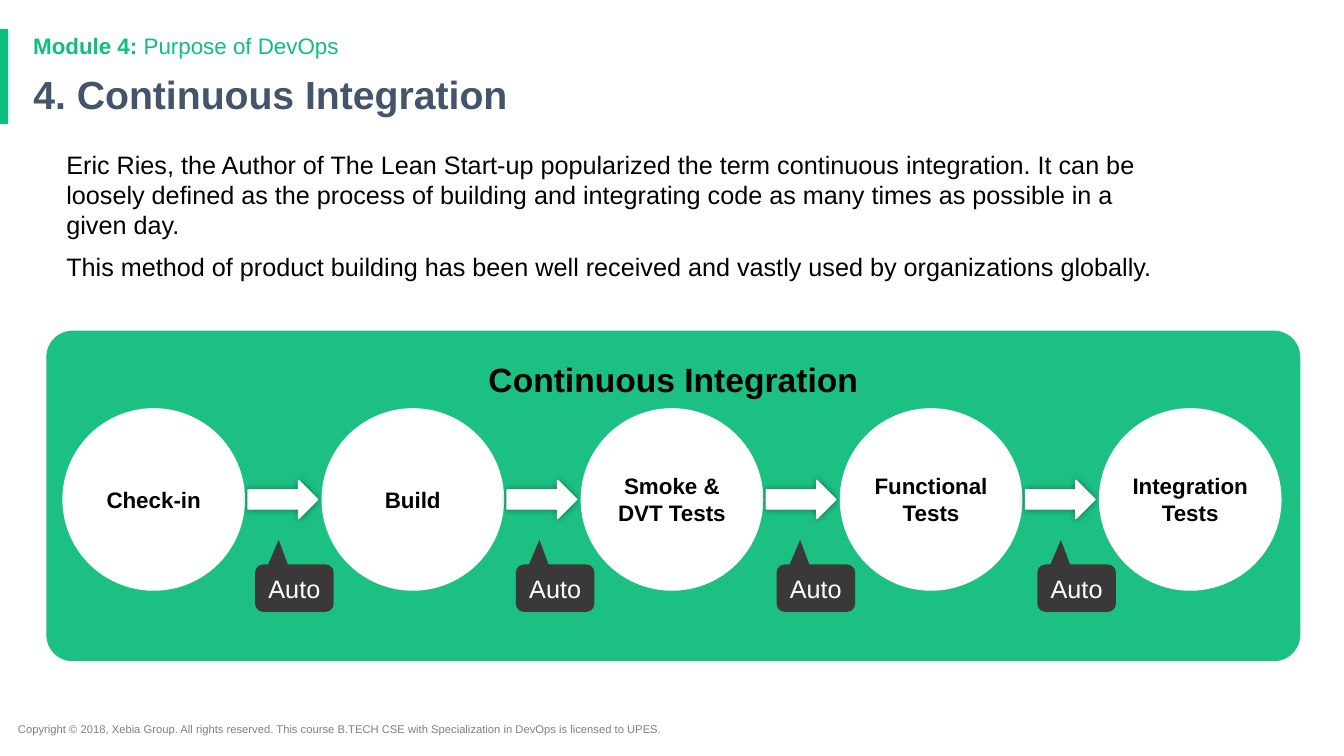
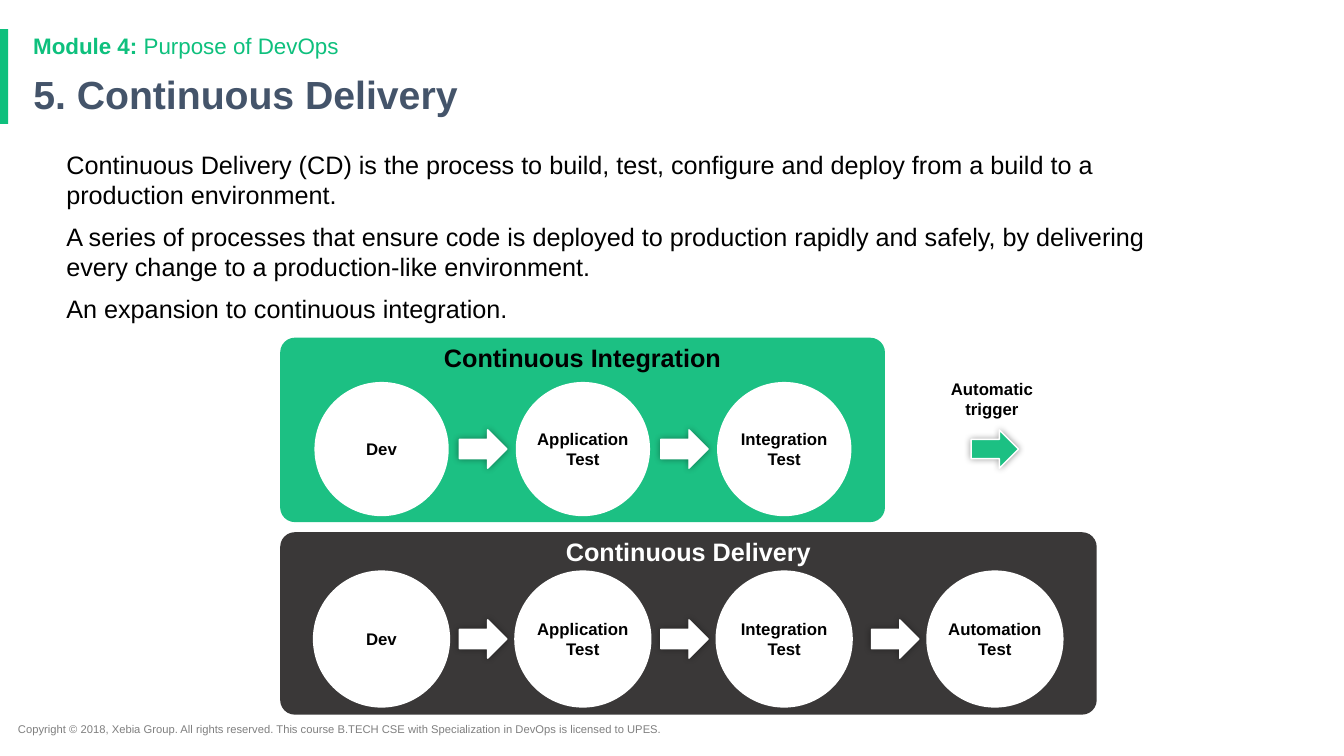
from dataclasses import dataclass
from typing import NamedTuple

from lxml import etree
from pptx import Presentation
from pptx.dml.color import RGBColor
from pptx.enum.shapes import MSO_SHAPE
from pptx.enum.text import MSO_ANCHOR, MSO_AUTO_SIZE, PP_ALIGN
from pptx.oxml.ns import qn
from pptx.util import Inches, Pt

RECTANGLE = MSO_SHAPE.RECTANGLE
ROUNDED = MSO_SHAPE.ROUNDED_RECTANGLE
ELLIPSE = MSO_SHAPE.OVAL
ARROW = MSO_SHAPE.RIGHT_ARROW
CALLOUT = MSO_SHAPE.ROUNDED_RECTANGULAR_CALLOUT
TOP, MIDDLE = MSO_ANCHOR.TOP, MSO_ANCHOR.MIDDLE
LEFT, CENTER = PP_ALIGN.LEFT, PP_ALIGN.CENTER
NO_AUTOFIT = MSO_AUTO_SIZE.NONE

ACCENT = RGBColor(0x0E, 0xC0, 0x7D)
GREEN = RGBColor(0x1C, 0xC0, 0x83)
CHARCOAL = RGBColor(0x3A, 0x38, 0x38)
SLATE = RGBColor(0x44, 0x54, 0x6A)
GRAY = RGBColor(0x7F, 0x7F, 0x7F)
BLACK = RGBColor(0x00, 0x00, 0x00)
WHITE = RGBColor(0xFF, 0xFF, 0xFF)

FONT = "Arial"
TITLE_ONLY = 5
WIDTH, HEIGHT = Inches(13.33), Inches(7.5)
COLUMN, ROW = WIDTH / 100, HEIGHT / 100
ROWS_PER_COLUMN = COLUMN / ROW
DEFAULT_INSETS = (0.1, 0.05, 0.1, 0.05)
NO_INSETS = (0, 0, 0, 0)
COPYRIGHT = (
    "Copyright © 2018, Xebia Group. All rights reserved. This course "
    "B.TECH CSE with Specialization in DevOps is licensed to UPES."
)


class Area(NamedTuple):
    column: float
    row: float
    columns: float
    rows: float

    def lengths(self) -> tuple[int, int, int, int]:
        return (round(self.column * COLUMN), round(self.row * ROW),
                round(self.columns * COLUMN), round(self.rows * ROW))


class Style(NamedTuple):
    size: float
    color: RGBColor
    bold: bool = False
    align: PP_ALIGN = LEFT
    anchor: MSO_ANCHOR = TOP
    insets: tuple[float, float, float, float] = DEFAULT_INSETS
    line_spacing: float = 1.0
    space_before: float = 0


@dataclass(frozen=True)
class Flow:
    panel: Area
    heading: str
    heading_style: Style
    fill: RGBColor
    steps: tuple[str, ...]
    centers: tuple[float, ...]
    middle: float
    diameter: float
    step_size: float
    arrow_columns: float
    arrow_lead: float


BAR = Area(0, 3.87, 0.6, 12.53)
FOOTER = Area(0.6, 94.93, 53.48, 3.2)
MODULE = Area(1.73, 4, 86.27, 4.4)
TITLE = Area(1.73, 9.2, 86.27, 7.2)
ARROW_ROWS = 5.07

FOOTER_STYLE = Style(8, GRAY)
MODULE_STYLE = Style(16, ACCENT, anchor=MIDDLE, line_spacing=0.9)
TITLE_STYLE = Style(28, SLATE, True, anchor=MIDDLE, line_spacing=0.9)
BODY_STYLE = Style(18, BLACK, space_before=8.4)
CALLOUT_STYLE = Style(18, WHITE, align=CENTER, anchor=MIDDLE)

INTEGRATION = Flow(
    Area(3.45, 43.73, 93.3, 43.73), "Continuous Integration",
    Style(24, BLACK, True, CENTER, insets=(0.1, 0.2, 0.1, 0.05)), GREEN,
    ("Check-in", "Build", "Smoke & DVT Tests", "Functional Tests", "Integration Tests"),
    tuple(11.44 + 19.28 * index for index in range(5)),
    66.07, 13.28, 16, 5.18, 12.26,
)
SMALL_HEADING = Style(18, BLACK, True, CENTER, insets=(0.1, 0, 0.1, 0.05))
STEPS = ("Dev", "Application Test", "Integration Test")
STEP_CENTERS = (28.39, 43.37, 58.35)
DELIVERY_FLOWS = (
    Flow(
        Area(20.85, 44.67, 45, 24.4), "Continuous Integration", SMALL_HEADING, GREEN,
        STEPS, STEP_CENTERS, 59.4, 9.68, 12, 3.53, 9.19,
    ),
    Flow(
        Area(20.85, 70.4, 60.75, 24.13), "Continuous Delivery",
        SMALL_HEADING._replace(color=WHITE), CHARCOAL,
        (*STEPS, "Automation Test"), (*STEP_CENTERS, 74.03), 84.53, 9.9, 12, 3.53, 9.19,
    ),
)


def write(box, texts: tuple[str, ...], style: Style) -> None:
    frame = box.text_frame
    frame.word_wrap = True
    frame.auto_size = NO_AUTOFIT
    frame.vertical_anchor = style.anchor
    (frame.margin_left, frame.margin_top,
     frame.margin_right, frame.margin_bottom) = map(Inches, style.insets)
    for index, text in enumerate(texts):
        para = frame.add_paragraph() if index else frame.paragraphs[0]
        para.text = text
        para.alignment = style.align
        para.line_spacing = style.line_spacing
        para.space_before = Pt(style.space_before if index else 0)
        para.font.name = FONT
        para.font.size = Pt(style.size)
        para.font.bold = style.bold
        para.font.color.rgb = style.color


def add_text(page, area: Area, texts: tuple[str, ...], style: Style):
    box = page.shapes.add_textbox(*area.lengths())
    write(box, texts, style)
    return box


def add_figure(page, kind: MSO_SHAPE, area: Area, fill: RGBColor | None,
               outline: float = 0, adjustments: tuple[float, ...] = ()):
    shape = page.shapes.add_shape(kind, *area.lengths())
    shape.shadow.inherit = False
    if fill is None:
        shape.fill.background()
    else:
        shape.fill.solid()
        shape.fill.fore_color.rgb = fill
    if outline:
        shape.line.color.rgb = WHITE
        shape.line.width = Pt(outline)
    else:
        shape.line.fill.background()
    for index, value in enumerate(adjustments):
        shape.adjustments[index] = value
    return shape


def add_circle(page, center: float, middle: float, diameter: float, text: str,
               size: float, fill: RGBColor | None = WHITE) -> None:
    rows = diameter * ROWS_PER_COLUMN
    area = Area(center - diameter / 2, middle - rows / 2, diameter, rows)
    circle = add_figure(page, ELLIPSE, area, fill, outline=3 if fill else 0)
    write(circle, (text,), Style(size, BLACK, True, CENTER, MIDDLE, NO_INSETS))


def add_arrow(page, left: float, middle: float, columns: float,
              fill: RGBColor = WHITE) -> None:
    area = Area(left, middle - ARROW_ROWS / 2, columns, ARROW_ROWS)
    arrow = add_figure(page, ARROW, area, fill, outline=1)
    effects = arrow.element.spPr.find(qn("a:effectLst"))
    shadow = etree.SubElement(effects, qn("a:outerShdw"), blurRad=str(Pt(5)),
                              dist="0", dir="0", algn="ctr", rotWithShape="0")
    color = etree.SubElement(shadow, qn("a:srgbClr"), val=str(BLACK))
    etree.SubElement(color, qn("a:alpha"), val="40000")


def add_flow(page, flow: Flow) -> None:
    panel = add_figure(page, ROUNDED, flow.panel, flow.fill, adjustments=(0.08,))
    write(panel, (flow.heading,), flow.heading_style)
    for center, step in zip(flow.centers, flow.steps):
        add_circle(page, center, flow.middle, flow.diameter, step, flow.step_size)
    for center in flow.centers[1:]:
        add_arrow(page, center - flow.arrow_lead, flow.middle, flow.arrow_columns)


def add_page(deck, title: str, body: tuple[str, ...], body_rows: float):
    page = deck.slides.add_slide(deck.slide_layouts[TITLE_ONLY])
    add_figure(page, RECTANGLE, BAR, ACCENT)
    add_text(page, FOOTER, (COPYRIGHT,), FOOTER_STYLE)
    heading = page.shapes.title
    heading.left, heading.top, heading.width, heading.height = TITLE.lengths()
    write(heading, (title,), TITLE_STYLE)
    module = add_text(page, MODULE, ("Module 4:",), MODULE_STYLE)
    para = module.text_frame.paragraphs[0]
    para.runs[0].font.bold = True
    span = para.add_run()
    span.text = " Purpose of DevOps"
    add_text(page, Area(4.2, 19.07, 84.3, body_rows), body, BODY_STYLE)
    return page


def add_integration(deck) -> None:
    page = add_page(deck, "4. Continuous Integration", (
        "Eric Ries, the Author of The Lean Start-up popularized the term continuous "
        "integration. It can be loosely defined as the process of building and "
        "integrating code as many times as possible in a given day.",
        "This method of product building has been well received and vastly used by "
        "organizations globally.",
    ), 70.53)
    add_flow(page, INTEGRATION)
    for index in range(len(INTEGRATION.steps) - 1):
        area = Area(18.98 + 19.4 * index, 74.67, 5.85, 6.27)
        callout = add_figure(page, CALLOUT, area, CHARCOAL,
                             adjustments=(-0.2, -1.02, 0.17))
        write(callout, ("Auto",), CALLOUT_STYLE)


def add_delivery(deck) -> None:
    page = add_page(deck, "5. Continuous Delivery", (
        "Continuous Delivery (CD) is the process to build, test, configure and deploy "
        "from a build to a production environment.",
        "A series of processes that ensure code is deployed to production rapidly and "
        "safely, by delivering every change to a production-like environment.",
        "An expansion to continuous integration.",
    ), 31.87)
    for flow in DELIVERY_FLOWS:
        add_flow(page, flow)
    add_arrow(page, 72.25, 59.4, 3.53, GREEN)
    add_circle(page, 73.8, 52.73, 9.68, "Automatic trigger", 12, None)


def main() -> None:
    deck = Presentation()
    deck.slide_width, deck.slide_height = WIDTH, HEIGHT
    add_integration(deck)
    add_delivery(deck)
    deck.save("out.pptx")


if __name__ == "__main__":
    main()
